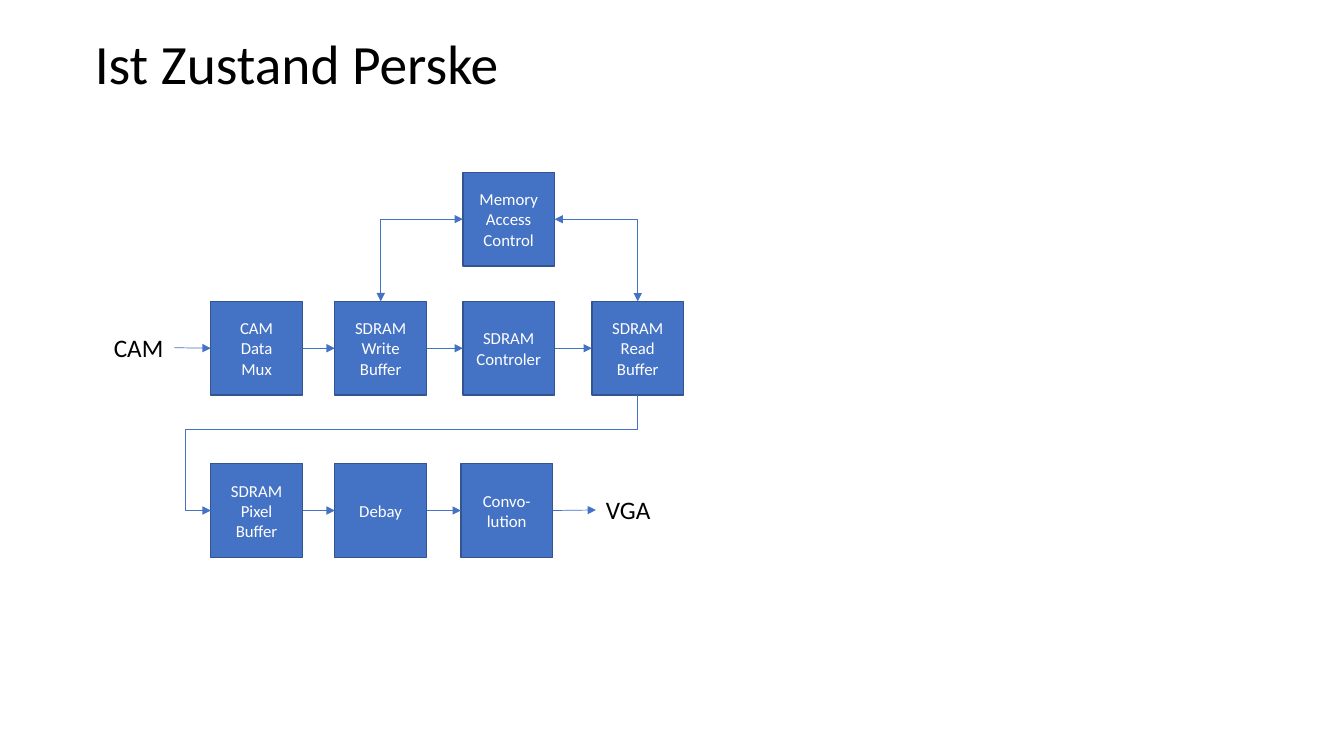
import dataclasses

import pptx
import pptx.dml.color
import pptx.enum.shapes
import pptx.enum.text
import pptx.oxml.ns
import pptx.oxml.xmlchemy
import pptx.util

SHAPE = pptx.enum.shapes.MSO_SHAPE
CONNECTOR = pptx.enum.shapes.MSO_CONNECTOR
ALIGN = pptx.enum.text.PP_ALIGN
ANCHOR = pptx.enum.text.MSO_ANCHOR
AUTO_SIZE = pptx.enum.text.MSO_AUTO_SIZE
Pt = pptx.util.Pt
qn = pptx.oxml.ns.qn
new_element = pptx.oxml.xmlchemy.OxmlElement

TOP, LEFT, BOTTOM, RIGHT = range(4)  # connection sites of a rectangle


@dataclasses.dataclass(frozen=True)
class Theme:
    """Colours, font and sizes used on the slide."""
    font: str = "Calibri"
    text: str = "000000"
    block: str = "4472C4"
    border: str = "325491"
    block_text: str = "FFFFFF"
    title_size: float = 39.6
    label_size: float = 18
    block_size: float = 12
    border_width: float = 1
    arrow_width: float = 0.5


THEME = Theme()

# Positions in percent of the diagram box
COLS = (18.43, 39.83, 61.91, 84.17)
ROWS = (0, 33.51, 75.65)
BLOCK_W, BLOCK_H = 15.83, 24.35
LABEL_H = 10.47

BLOCKS = {
    "mux": ("CAM\vData\vMux", COLS[0], ROWS[1]),
    "write": ("SDRAM\vWrite\vBuffer", COLS[1], ROWS[1]),
    "sdram": ("SDRAM\vControler", COLS[2], ROWS[1]),
    "memory": ("Memory\vAccess\vControl", COLS[2], ROWS[0]),
    "read": ("SDRAM\vRead\vBuffer", COLS[3], ROWS[1]),
    "pixel": ("SDRAM\vPixel\vBuffer", COLS[0], ROWS[2]),
    "debay": ("Debay", COLS[1], ROWS[2]),
    "convolution": ("Convo-lution", 61.57, ROWS[2]),
}
LABELS = {
    "cam": ("CAM", 0, 40.31, 12.17),
    "vga": ("VGA", 84.87, 82.46, 11.3),
}
CHAINS = (
    ("cam", "mux", "write", "sdram", "read"),
    ("pixel", "debay", "convolution", "vga"),
)


def rgb(value):
    """Turn a hex string into a colour."""
    return pptx.dml.color.RGBColor.from_string(value)


def place(box, x, y, w, h):
    """Convert percentages of a box into slide lengths."""
    left, top, width, height = box
    return (int(left + width * x / 100), int(top + height * y / 100),
            int(width * w / 100), int(height * h / 100))


def write(tf, text, size, color, align):
    """Fill a text frame and format its runs."""
    tf.text = text
    for p in tf.paragraphs:
        p.alignment = align
        for r in p.runs:
            r.font.name, r.font.size = THEME.font, Pt(size)
            r.font.color.rgb = rgb(color)


def add_title(s, box, text):
    """Move and format the title placeholder."""
    sp = s.shapes.title
    sp.left, sp.top, sp.width, sp.height = place(box, 0, 0, 100, 100)
    tf = sp.text_frame
    tf.vertical_anchor = ANCHOR.MIDDLE
    tf.auto_size = AUTO_SIZE.NONE
    write(tf, text, THEME.title_size, THEME.text, ALIGN.LEFT)
    tf.paragraphs[0].line_spacing = 0.9


def add_block(s, box, text, x, y):
    """Add one processing block."""
    sp = s.shapes.add_shape(SHAPE.RECTANGLE, *place(box, x, y, BLOCK_W, BLOCK_H))
    sp.shadow.inherit = False
    sp.fill.solid()
    sp.fill.fore_color.rgb = rgb(THEME.block)
    sp.line.color.rgb = rgb(THEME.border)
    sp.line.width = Pt(THEME.border_width)
    sp.text_frame.vertical_anchor = ANCHOR.MIDDLE
    sp.text_frame.word_wrap = True
    write(sp.text_frame, text, THEME.block_size, THEME.block_text, ALIGN.CENTER)
    return sp


def add_label(s, box, text, x, y, w):
    """Add the name of an input or output signal."""
    sp = s.shapes.add_textbox(*place(box, x, y, w, LABEL_H))
    sp.text_frame.word_wrap = False
    sp.text_frame.auto_size = AUTO_SIZE.SHAPE_TO_FIT_TEXT
    write(sp.text_frame, text, THEME.label_size, THEME.text, ALIGN.LEFT)
    return sp


def add_arrow(s, start, start_site, end, end_site, kind=CONNECTOR.STRAIGHT, both=False):
    """Connect two shapes with an arrow, optionally with two heads."""
    c = s.shapes.add_connector(kind, 0, 0, 0, 0)
    c.begin_connect(start, start_site)
    c.end_connect(end, end_site)
    c.line.color.rgb = rgb(THEME.block)
    c.line.width = Pt(THEME.arrow_width)
    sp_pr = c._element.spPr
    ln = sp_pr.find(qn("a:ln"))
    for tag in ("a:headEnd", "a:tailEnd") if both else ("a:tailEnd",):
        head = new_element(tag)
        head.set("type", "triangle")
        ln.append(head)
    sp_pr.append(new_element("a:effectLst"))
    return c


def bend(c, preset, turned=False, flip=False, adjust=()):
    """Give an elbow connector its route; turned means it starts vertically."""
    geom = c._element.spPr.find(qn("a:prstGeom"))
    geom.set("prst", preset)
    guides = geom.find(qn("a:avLst"))
    for i, value in enumerate(adjust, 1):
        gd = new_element("a:gd")
        gd.set("name", f"adj{i}")
        gd.set("fmla", f"val {round(value * 100000)}")
        guides.append(gd)
    if turned:
        x, y, w, h = c.left, c.top, c.width, c.height
        c.left, c.top = x + (w - h) // 2, y + (h - w) // 2
        c.width, c.height = h, w
        xfrm = c._element.spPr.find(qn("a:xfrm"))
        xfrm.set("rot", str(90 * 60000))
        for name in ("flipH", "flipV"):
            xfrm.set(name, str(int(flip)))


def add_diagram(s, box):
    """Draw the signal path from camera to screen."""
    parts = {name: add_block(s, box, *block) for name, block in BLOCKS.items()}
    parts.update({name: add_label(s, box, *label) for name, label in LABELS.items()})
    for chain in CHAINS:
        for a, b in zip(chain, chain[1:]):
            add_arrow(s, parts[a], RIGHT, parts[b], LEFT)
    elbow = CONNECTOR.ELBOW
    bend(add_arrow(s, parts["read"], BOTTOM, parts["pixel"], LEFT, elbow),
         "bentConnector4", turned=True, adjust=(0.3, 1.06))
    bend(add_arrow(s, parts["write"], TOP, parts["memory"], LEFT, elbow, both=True),
         "bentConnector2", turned=True, flip=True)
    bend(add_arrow(s, parts["memory"], RIGHT, parts["read"], TOP, elbow, both=True),
         "bentConnector2")


def main():
    """Build and save the presentation."""
    prs = pptx.Presentation()
    prs.slide_width, prs.slide_height = pptx.util.Inches(13.33), pptx.util.Inches(7.5)
    page = (0, 0, prs.slide_width, prs.slide_height)
    s = prs.slides.add_slide(prs.slide_layouts.get_by_name("Title Only"))
    add_title(s, place(page, 6.3, 3.87, 86.27, 9.87), "Ist Zustand Perske")
    add_diagram(s, place(page, 7.73, 22.8, 43.14, 50.93))
    prs.save("out.pptx")


main()
